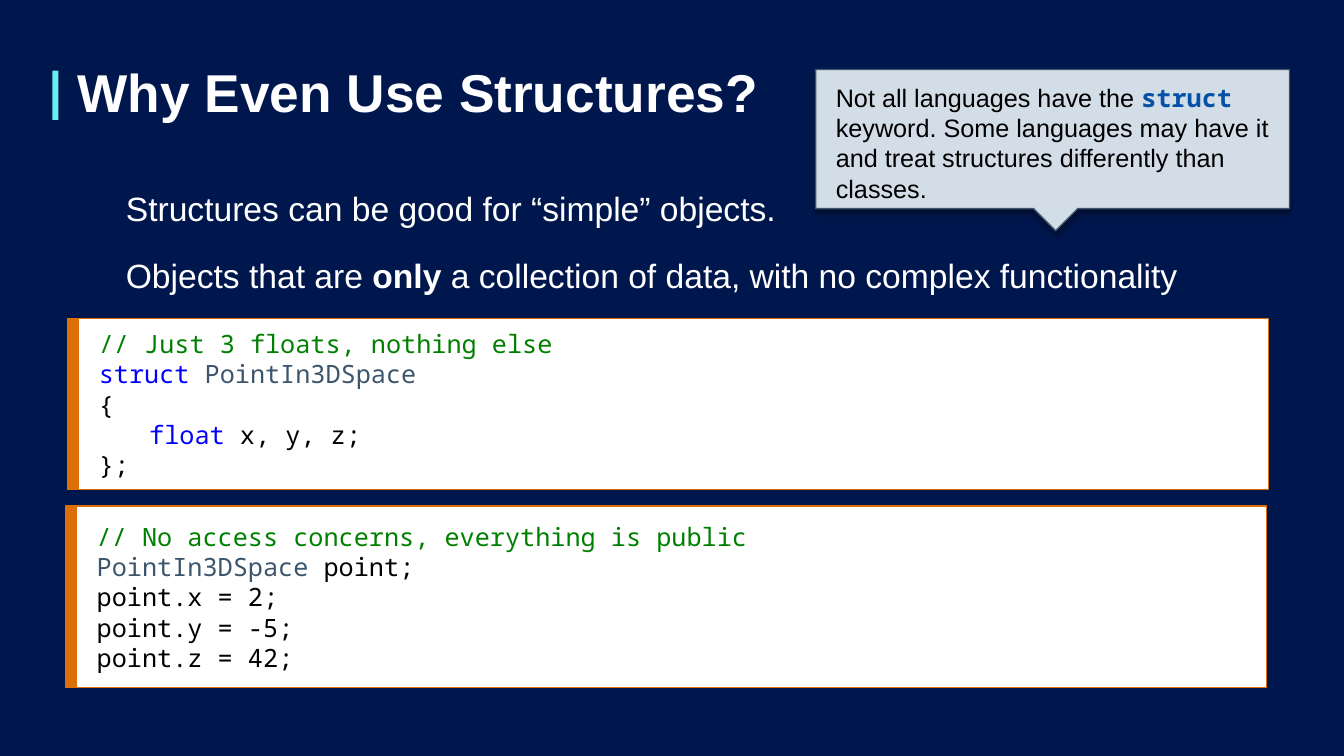
from lxml import etree
from pptx import Presentation
from pptx import util as u
from pptx.dml.color import RGBColor
from pptx.enum import shapes, text
from pptx.oxml.ns import qn

NAVY, WHITE, BLACK, CYAN, ORANGE = "00174E", "FFFFFF", "000000", "69EEF0", "DD6F08"
SLATE, PALE, BLUE, GREEN, KEYWORD = "3C556C", "D3DDE7", "0451A5", "008000", "0000FF"
SANS, MONO = "Arial", "Noto Sans Mono"

BODY = {"name": SANS, "size": u.Pt(24), "color": WHITE}
NOTE = {"name": SANS, "size": u.Pt(18), "color": BLACK}
CODE = {"name": MONO, "size": u.Pt(18), "color": BLACK}
COMMENT = CODE | {"color": GREEN}
RESERVED = CODE | {"color": KEYWORD}
TYPE = CODE | {"color": SLATE}

STATEMENTS = [
    [("Structures can be good for “simple” objects.", BODY)],
    [("Objects that are ", BODY), ("only", BODY | {"bold": True}),
     (" a collection of data, with no complex functionality", BODY)],
]
STRUCT_CODE = [
    [("// Just 3 floats, nothing else", COMMENT)],
    [("struct ", RESERVED), ("PointIn3DSpace", TYPE)],
    [("{", CODE)],
    [("\tfloat", RESERVED), (" x, y, z;", CODE)],
    [("};", CODE)],
]
USAGE_CODE = [
    [("// No access concerns, everything is public", COMMENT)],
    [("PointIn3DSpace", TYPE), (" point;", CODE)],
    *[[(f"point.{axis} = {value};", CODE)] for axis, value in (("x", 2), ("y", -5), ("z", 42))],
]
CALLOUT = [[
    ("Not all languages have the ", NOTE),
    ("struct", NOTE | {"name": MONO, "color": BLUE, "bold": True}),
    (" keyword. Some languages may have it and treat structures differently than classes.", NOTE),
]]


def rgb(value):
    return RGBColor.from_string(value)


def paint(shape, fill, line=None):
    shape.shadow.inherit = False
    shape.fill.solid()
    shape.fill.fore_color.rgb = rgb(fill)
    if line:
        shape.line.color.rgb = rgb(line)
        shape.line.width = u.Pt(1)
    else:
        shape.line.fill.background()


def add_bar(slide, left, top, width, height, fill, line=None):
    bar = slide.shapes.add_shape(shapes.MSO_SHAPE.RECTANGLE,
                                 *map(u.Inches, (left, top, width, height)))
    paint(bar, fill, line)
    return bar


def write(shape, lines, insets=(0.1, 0.05, 0.1, 0.05)):
    """Fill a shape with lines of (words, format) spans; insets run left, top, right, bottom."""
    frame = shape.text_frame
    frame.word_wrap = True
    frame.auto_size = text.MSO_AUTO_SIZE.NONE
    frame.vertical_anchor = text.MSO_ANCHOR.MIDDLE
    for side, inset in zip(("left", "top", "right", "bottom"), insets):
        setattr(frame, f"margin_{side}", u.Inches(inset))
    for number, line in enumerate(lines):
        para = frame.add_paragraph() if number else frame.paragraphs[0]
        para.alignment = text.PP_ALIGN.LEFT
        if line[0][0].startswith("\t"):
            tabs = etree.SubElement(para._p.get_or_add_pPr(), qn("a:tabLst"))
            etree.SubElement(tabs, qn("a:tab"), pos=str(u.Inches(0.5)), algn="l")
        for words, style in line:
            span = para.add_run()
            span.text = words
            for key, value in style.items():
                if key == "color":
                    span.font.color.rgb = rgb(value)
                else:
                    setattr(span.font, key, value)


def add_title(slide, left, top, width, height):
    add_bar(slide, left, top + 0.09, 0.06, 0.49, CYAN)
    title = slide.shapes.title
    title.left, title.top, title.width, title.height = map(
        u.Inches, (left + 0.15, top, width - 0.15, height))
    style = {"name": SANS, "size": u.Pt(38), "color": WHITE, "bold": True}
    write(title, [[("Why Even Use Structures?", style)]])
    title.text_frame.paragraphs[0].line_spacing = 0.9


def add_statements(slide, left, top, width, pitch):
    for row, line in enumerate(STATEMENTS):
        box = slide.shapes.add_textbox(
            *map(u.Inches, (left, top + row * pitch, width, 0.5)))
        write(box, [line])


def add_code_panel(slide, left, top, width, height, lines):
    edge = 0.11
    panel = add_bar(slide, left + edge, top, width - edge, height, WHITE, ORANGE)
    write(panel, lines, (0.2,) * 4)
    add_bar(slide, left, top, edge, height, ORANGE, ORANGE)


def add_callout(slide, left, top, width, height):
    """Draw a note whose pointer hangs from the middle of its lower side."""
    pointer = 0.22
    right, middle, base = left + width, left + width / 2, top + height - pointer
    outline = [(right, top), (right, base), (middle + pointer, base),
               (middle + 0.03, top + height), (middle - pointer + 0.03, base), (left, base)]
    outline[2] = (middle + 0.03 + pointer, base)
    builder = slide.shapes.build_freeform(u.Inches(left), u.Inches(top))
    builder.add_line_segments([(u.Inches(x), u.Inches(y)) for x, y in outline], close=True)
    note = builder.convert_to_shape()
    paint(note, PALE, SLATE)
    effects = note._element.spPr.find(qn("a:effectLst"))
    shadow = etree.SubElement(effects, qn("a:outerShdw"), blurRad=str(u.Pt(4)),
                              dist=str(u.Pt(3)), dir="5400000", rotWithShape="0")
    shade = etree.SubElement(shadow, qn("a:srgbClr"), val=BLACK)
    etree.SubElement(shade, qn("a:alpha"), val="40000")
    write(note, CALLOUT, (0.2, 0.1, 0.2, 0.25))


def main():
    deck = Presentation()
    deck.slide_width, deck.slide_height = u.Inches(13.33), u.Inches(7.5)
    slide = deck.slides.add_slide(deck.slide_layouts.get_by_name("Title Only"))
    slide.background.fill.solid()
    slide.background.fill.fore_color.rgb = rgb(NAVY)
    add_title(slide, 0.52, 0.61, 12.05, 0.68)
    add_statements(slide, 1.15, 1.81, 11.42, 0.67)
    add_code_panel(slide, 0.67, 3.16, 11.91, 1.7, STRUCT_CODE)
    add_code_panel(slide, 0.65, 5.02, 11.91, 1.8, USAGE_CODE)
    add_callout(slide, 8.09, 0.69, 4.7, 1.6)
    deck.save("out.pptx")


if __name__ == "__main__":
    main()
